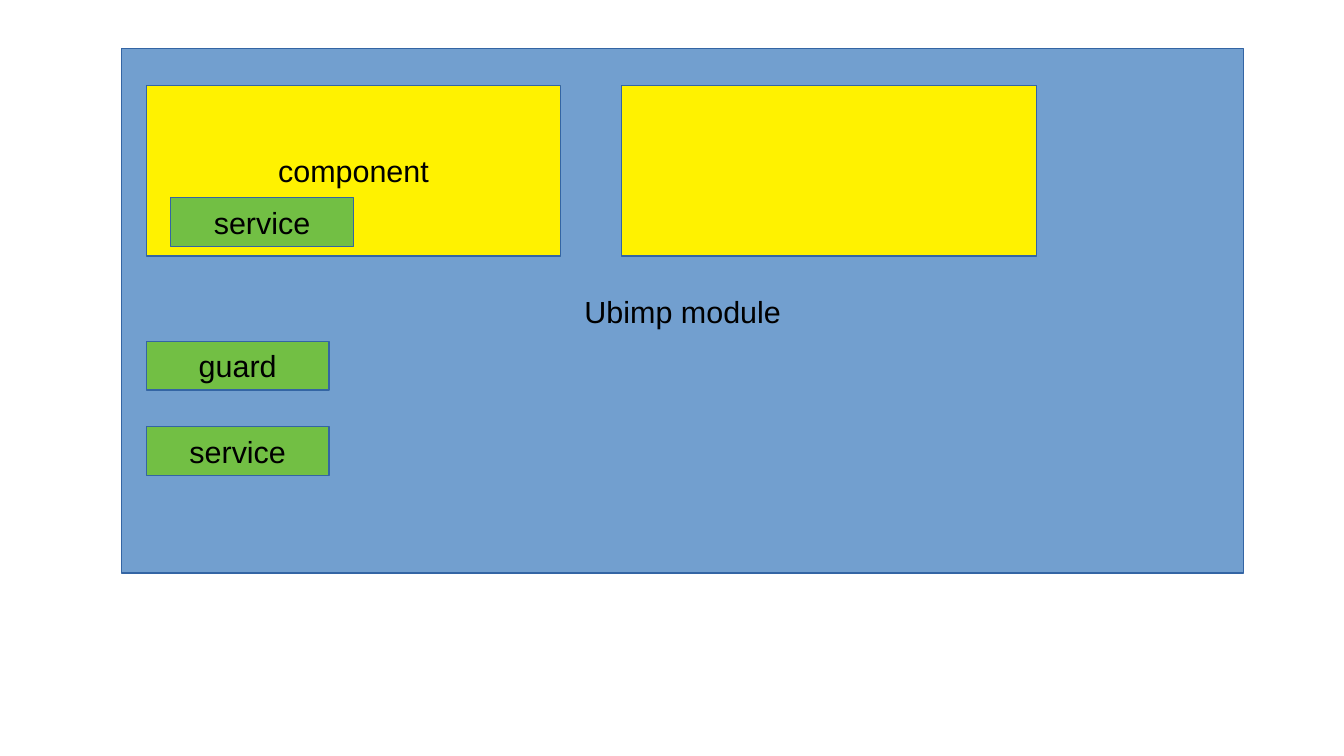
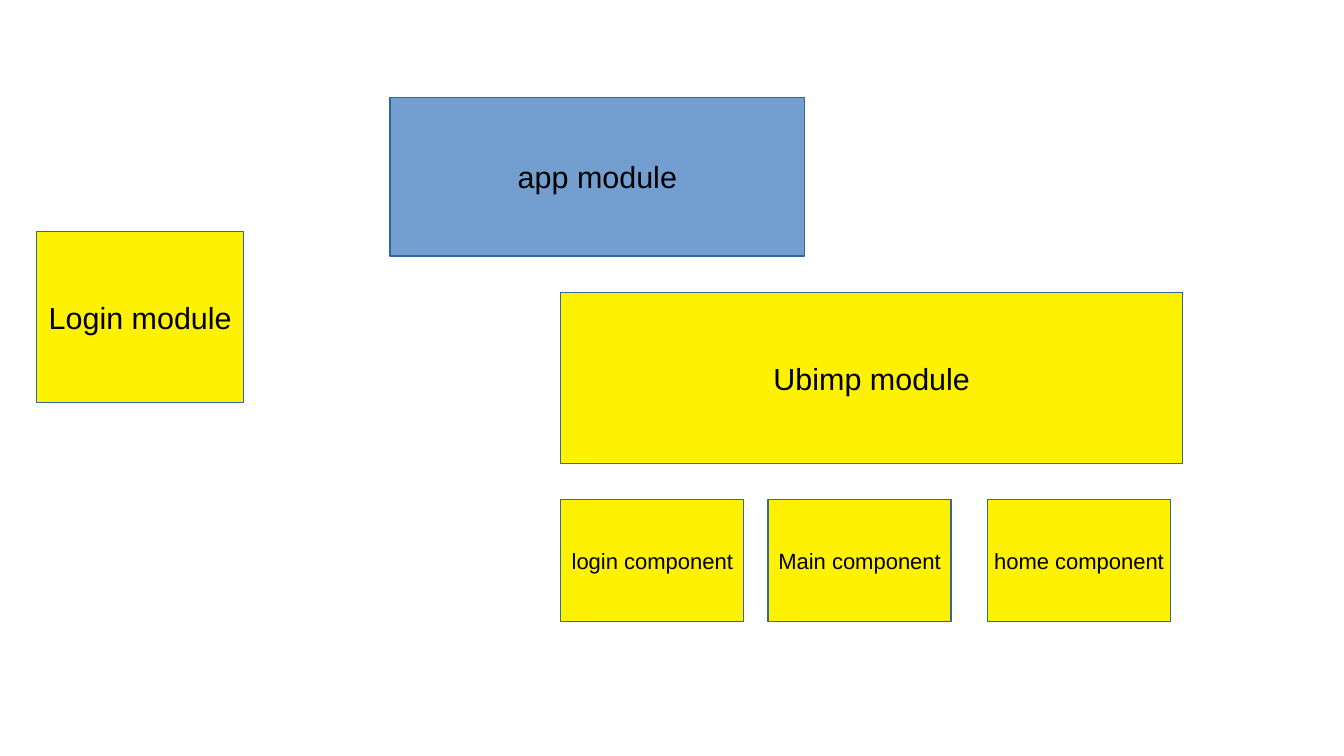
from dataclasses import dataclass

from pptx import Presentation
from pptx.dml.color import RGBColor
from pptx.enum import shapes, text
from pptx.util import Cm, Pt

BLUE = RGBColor(0x72, 0x9F, 0xCF)
YELLOW = RGBColor(0xFF, 0xF2, 0x00)
GREEN = RGBColor(0x72, 0xBF, 0x44)
EDGE = RGBColor(0x34, 0x65, 0xA4)
BLACK = RGBColor(0x00, 0x00, 0x00)

GRID = Cm(2.54)
BLANK_LAYOUT = 6
FRAME_FORMAT = {
    "word_wrap": False,
    "vertical_anchor": text.MSO_ANCHOR.MIDDLE,
    "margin_left": Cm(0.25),
    "margin_right": Cm(0.25),
    "margin_top": Cm(0.13),
    "margin_bottom": Cm(0.13),
}


@dataclass(frozen=True)
class Block:
    label: str
    left: float
    top: float
    width: float
    height: float
    fill: RGBColor
    size: int = 18


def small_part(label: str, left: float, top: float) -> Block:
    return Block(label, left, top, 1.5, 0.4, GREEN)


def component(label: str, left: float) -> Block:
    return Block(label, left, 4.1, 1.5, 1, YELLOW, size=13)


MODULE_PARTS = [
    Block("Ubimp module", 1, 0.4, 9.2, 4.3, BLUE),
    Block("component", 1.2, 0.7, 3.4, 1.4, YELLOW),
    Block("", 5.1, 0.7, 3.4, 1.4, YELLOW),
    small_part("service", 1.4, 1.62),
    small_part("service", 1.2, 3.5),
    small_part("guard", 1.2, 2.8),
]

APP_MODULES = [
    Block("app module", 3.2, 0.8, 3.4, 1.3, BLUE),
    Block("Login module", 0.3, 1.9, 1.7, 1.4, YELLOW),
    Block("Ubimp module", 4.6, 2.4, 5.1, 1.4, YELLOW),
    component("Main component", 6.3),
    component("login component", 4.6),
    component("home component", 8.1),
]


def draw_block(slide, block: Block) -> None:
    bounds = (block.left, block.top, block.width, block.height)
    box = slide.shapes.add_shape(
        shapes.MSO_SHAPE.RECTANGLE, *(round(GRID * length) for length in bounds)
    )
    box.shadow.inherit = False
    box.fill.solid()
    box.fill.fore_color.rgb = block.fill
    box.line.color.rgb = EDGE
    box.line.width = Pt(0)
    if not block.label:
        return
    for name, value in FRAME_FORMAT.items():
        setattr(box.text_frame, name, value)
    paragraph = box.text_frame.paragraphs[0]
    paragraph.alignment = text.PP_ALIGN.CENTER
    label = paragraph.add_run()
    label.text = block.label
    label.font.name = "Arial"
    label.font.size = Pt(block.size)
    label.font.color.rgb = BLACK


def main() -> None:
    deck = Presentation()
    deck.slide_width = Cm(28)
    deck.slide_height = Cm(15.75)
    for blocks in (MODULE_PARTS, APP_MODULES):
        slide = deck.slides.add_slide(deck.slide_layouts[BLANK_LAYOUT])
        for block in blocks:
            draw_block(slide, block)
    deck.save("out.pptx")


if __name__ == "__main__":
    main()
